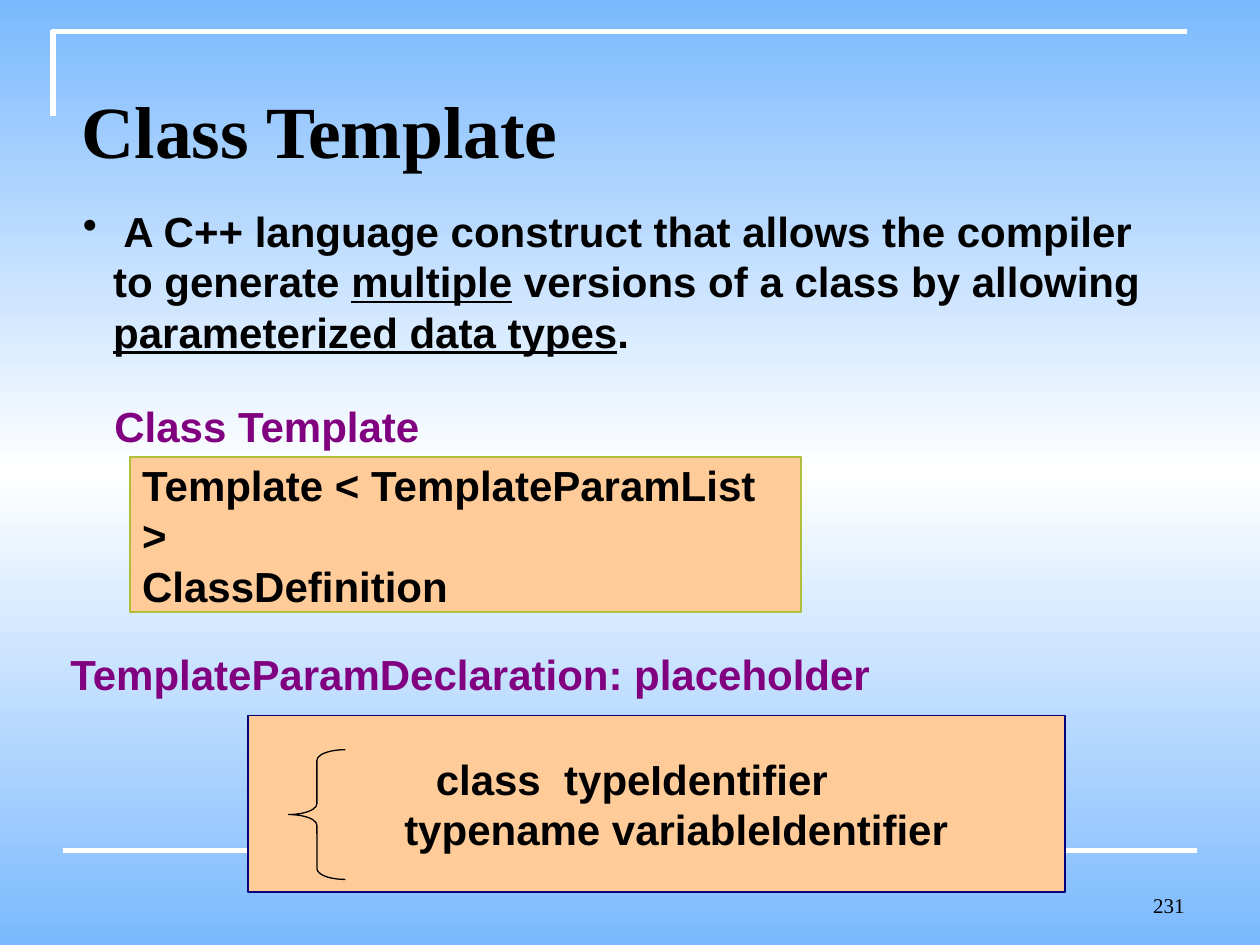
from lxml import etree
from pptx import Presentation
from pptx import util as u
from pptx.dml.color import RGBColor
from pptx.enum import shapes, text
from pptx.oxml.ns import qn

Inches = u.Inches
BLACK = RGBColor(0x00, 0x00, 0x00)
WHITE = RGBColor(0xFF, 0xFF, 0xFF)
SKY = RGBColor(0x7A, 0xB9, 0xFE)
PURPLE = RGBColor(0x80, 0x00, 0x80)
PEACH = RGBColor(0xFF, 0xCC, 0x99)
OLIVE = RGBColor(0xAF, 0xBF, 0x39)
NAVY = RGBColor(0x00, 0x00, 0x80)

BODY = {"size": u.Pt(24), "name": "Arial", "bold": True}
TITLE = {"size": u.Pt(42), "name": "Times New Roman", "bold": True}
NUMBER = {"size": u.Pt(12), "name": "Times New Roman"}


def inches(box):
    return [Inches(value) for value in box]


def add_span(para, words, style, color=BLACK, underline=None):
    span = para.add_run()
    span.text = words
    for key, value in {**style, "underline": underline}.items():
        setattr(span.font, key, value)
    span.font.color.rgb = color


def add_text(page, box, words, style, color=BLACK, anchor=text.MSO_ANCHOR.TOP,
             align=text.PP_ALIGN.LEFT):
    frame = page.shapes.add_textbox(*inches(box)).text_frame
    frame.word_wrap = True
    frame.vertical_anchor = anchor
    para = frame.paragraphs[0]
    para.alignment = align
    if words:
        add_span(para, words, style, color)
    return para


def add_background(page):
    fill = page.background.fill
    fill.gradient()
    fill.gradient_angle = 270
    stops = fill._fill._gradFill.find(qn("a:gsLst"))
    for stop in list(stops):
        stops.remove(stop)
    for position, color in ((0, SKY), (50000, WHITE), (100000, SKY)):
        stop = etree.SubElement(stops, qn("a:gs"), pos=str(position))
        etree.SubElement(stop, qn("a:srgbClr"), val=str(color))


def add_frame_lines(page, left, top, width, height):
    # Corner bracket at the top left
    builder = page.shapes.build_freeform(Inches(left), Inches(top + height))
    builder.add_line_segments([(Inches(left), Inches(top)),
                               (Inches(left + width), Inches(top))], close=False)
    corner = builder.convert_to_shape()
    corner.shadow.inherit = False
    corner.fill.background()
    # Footer rule
    rule = page.shapes.add_connector(shapes.MSO_CONNECTOR.STRAIGHT,
                                     *inches((0.5, 6.75, 9.5, 6.75)))
    etree.SubElement(rule._element.spPr, qn("a:effectLst"))
    for part in (corner, rule):
        part.line.color.rgb = WHITE
        part.line.width = u.Pt(3)


def add_definition(page, box):
    para = add_text(page, box, "", BODY)
    props = para._p.get_or_add_pPr()
    props.set("marL", str(Inches(0.24)))
    props.set("indent", str(-Inches(0.24)))
    etree.SubElement(props, qn("a:buChar"), char="•")
    for words, underline in (
            (" A C++ language construct that allows the compiler to generate ", False),
            ("multiple", True),
            (" versions of a class by allowing ", False),
            ("parameterized data types", True),
            (".", False)):
        add_span(para, words, BODY, underline=underline)


def add_code_box(page, box, outline, lines):
    """Each line is its words and its left indent in inches."""
    panel = page.shapes.add_shape(shapes.MSO_SHAPE.RECTANGLE, *inches(box))
    panel.shadow.inherit = False
    panel.fill.solid()
    panel.fill.fore_color.rgb = PEACH
    panel.line.color.rgb = outline
    panel.line.width = u.Pt(1)
    frame = panel.text_frame
    frame.word_wrap = True
    frame.vertical_anchor = text.MSO_ANCHOR.MIDDLE
    for index, (words, indent) in enumerate(lines):
        para = frame.add_paragraph() if index else frame.paragraphs[0]
        para.alignment = text.PP_ALIGN.LEFT
        para._p.get_or_add_pPr().set("marL", str(Inches(indent)))
        add_span(para, words, BODY)


def add_brace(page, box):
    brace = page.shapes.add_shape(shapes.MSO_SHAPE.LEFT_BRACE, *inches(box))
    brace.shadow.inherit = False
    brace.adjustments[0] = 0.19
    brace.fill.background()
    brace.line.color.rgb = BLACK
    brace.line.width = u.Pt(0.75)


def main():
    deck = Presentation()
    deck.slide_width, deck.slide_height = Inches(10), Inches(7.5)
    page = deck.slides.add_slide(deck.slide_layouts[6])

    # Backdrop, page number and title
    add_background(page)
    add_frame_lines(page, 0.42, 0.25, 9, 0.67)
    add_text(page, (7.17, 6.83, 2.33, 0.5), "231", NUMBER,
             anchor=text.MSO_ANCHOR.BOTTOM, align=text.PP_ALIGN.RIGHT)
    add_text(page, (0.55, 0.17, 8.79, 1.25), "Class Template", TITLE,
             anchor=text.MSO_ANCHOR.BOTTOM)

    # Definition and template syntax
    add_definition(page, (0.56, 1.58, 8.79, 1.3))
    add_code_box(page, (1.03, 3.63, 5.33, 1.23), OLIVE,
                 [("Template < TemplateParamList >", 0), ("ClassDefinition", 0)])
    add_text(page, (0.81, 3.13, 7.46, 0.5), "Class Template", BODY, PURPLE)

    # Parameter declaration
    add_text(page, (0.46, 5.1, 6.94, 0.5),
             "TemplateParamDeclaration: placeholder", BODY, PURPLE)
    add_code_box(page, (1.97, 5.68, 6.48, 1.4), NAVY,
                 [("class  typeIdentifier", 1.39),
                  ("typename variableIdentifier", 1.14)])
    add_brace(page, (2.29, 5.95, 0.45, 1.03))

    deck.save("out.pptx")


if __name__ == "__main__":
    main()
